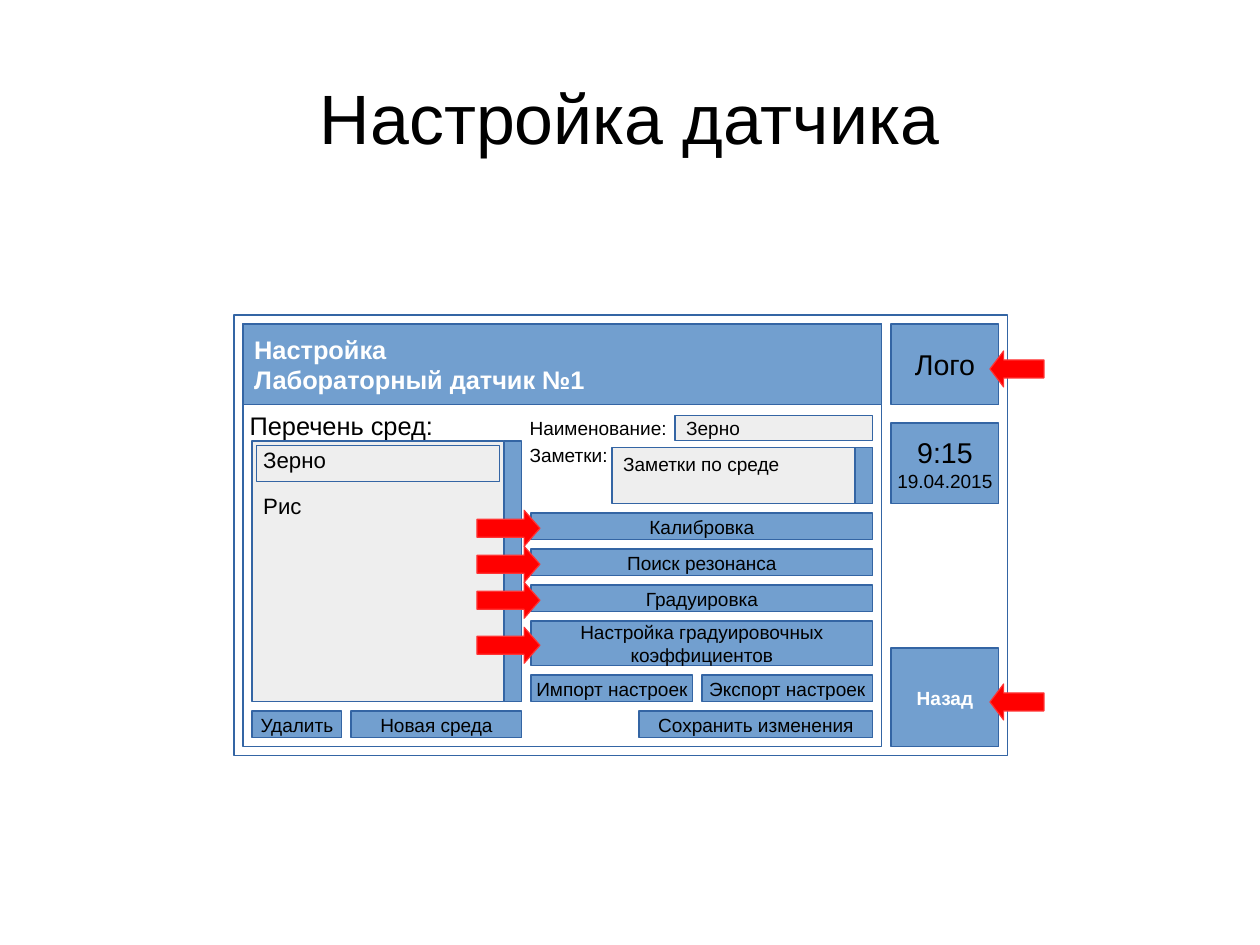
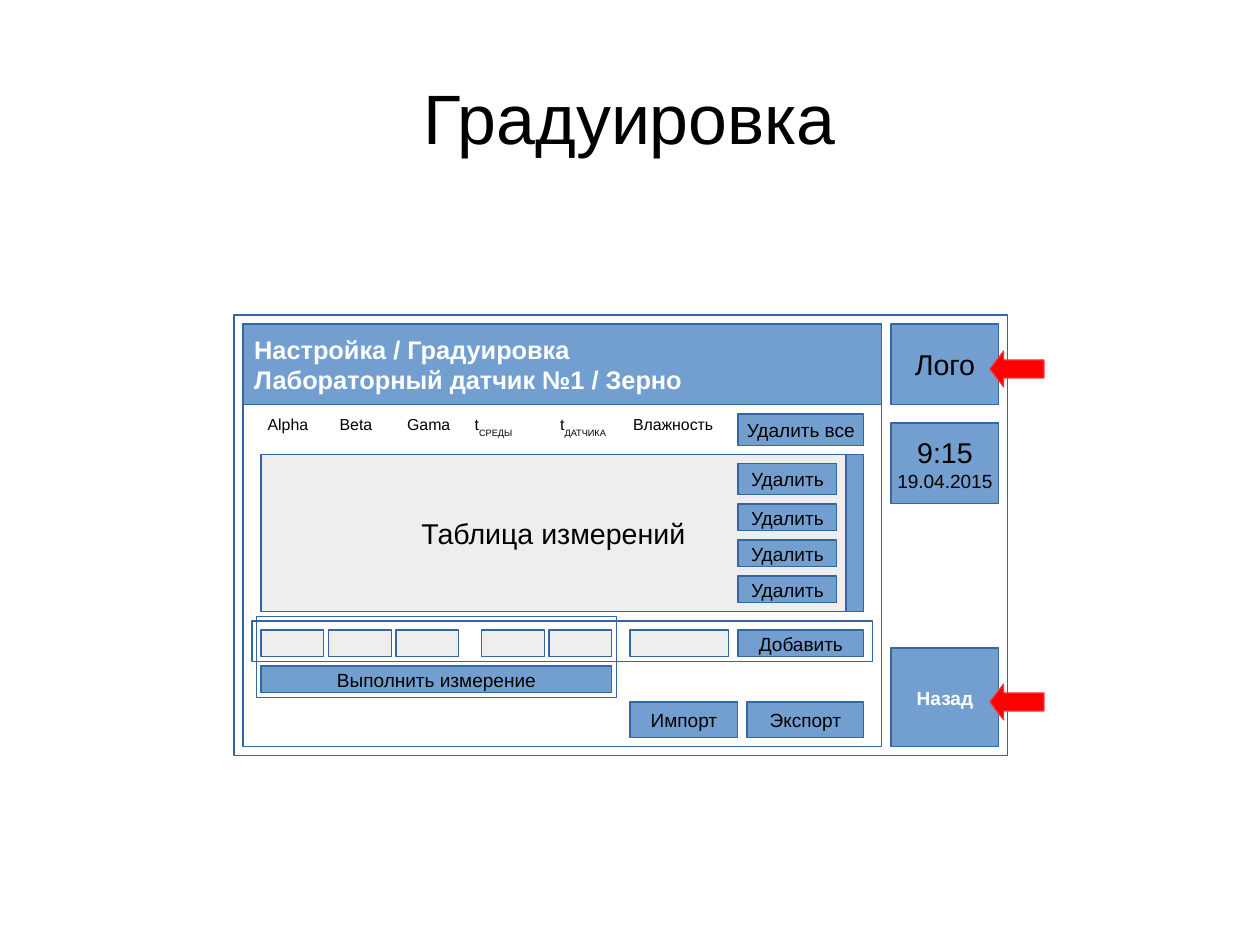
"""Builds two slides with the screens of a moisture sensor's setup panel."""
from pptx import Presentation
from pptx.dml.color import RGBColor
from pptx.enum.shapes import MSO_SHAPE
from pptx.enum.text import MSO_ANCHOR, MSO_AUTO_SIZE, PP_ALIGN
from pptx.util import Inches, Mm, Pt

RECTANGLE = MSO_SHAPE.RECTANGLE
LEFT_ARROW, RIGHT_ARROW = MSO_SHAPE.LEFT_ARROW, MSO_SHAPE.RIGHT_ARROW
TOP, MIDDLE = MSO_ANCHOR.TOP, MSO_ANCHOR.MIDDLE
LEFT, CENTER = PP_ALIGN.LEFT, PP_ALIGN.CENTER
NO_AUTOFIT = MSO_AUTO_SIZE.NONE

BLACK = RGBColor(0x00, 0x00, 0x00)
WHITE = RGBColor(0xFF, 0xFF, 0xFF)
BLUE = RGBColor(0x72, 0x9F, 0xCF)
BORDER = RGBColor(0x34, 0x65, 0xA4)
GRAY = RGBColor(0xEE, 0xEE, 0xEE)
RED = RGBColor(0xFF, 0x00, 0x00)
RED_EDGE = RGBColor(0xFF, 0x33, 0x33)

FONT = "Arial"
CELL_MM = 2
COLUMNS, ROWS = 140, 105
TITLE_ONLY = 5
INSETS = dict(margin_left=Inches(0.1), margin_right=Inches(0.1),
              margin_top=Inches(0.05), margin_bottom=Inches(0.05))
NO_INSETS = dict.fromkeys(INSETS, 0)


def cells(*counts):
    """Turn counts of grid cells into lengths."""
    return [Mm(count * CELL_MM) for count in counts]


def apply(target, values):
    """Set every attribute named in values on target."""
    for name, value in values.items():
        setattr(target, name, value)


def style_run(run, size, color=BLACK, bold=False):
    """Give a run its font, size, weight and colour."""
    apply(run.font, dict(name=FONT, size=Pt(size), bold=bold))
    run.font.color.rgb = color


def write(frame, text, size, color=BLACK, bold=False, align=CENTER,
          anchor=MIDDLE, wrap=False, insets=INSETS):
    """Fill a text frame with one paragraph per line of text."""
    apply(frame, dict(insets, auto_size=NO_AUTOFIT, word_wrap=wrap,
                      vertical_anchor=anchor))
    for number, line in enumerate(text.split("\n")):
        paragraph = frame.add_paragraph() if number else frame.paragraphs[0]
        paragraph.alignment = align
        run = paragraph.add_run()
        run.text = line
        style_run(run, size, color, bold)


def add_outline(slide, kind, box, fill, edge):
    """Add a flat preset shape with a hairline edge."""
    shape = slide.shapes.add_shape(kind, *cells(*box))
    shape.shadow.inherit = False
    if fill is None:
        shape.fill.background()
    else:
        shape.fill.solid()
        shape.fill.fore_color.rgb = fill
    shape.line.color.rgb = edge
    shape.line.width = Pt(0)
    return shape


def add_panel(slide, box, fill=None):
    """Add an empty rectangle of the screen."""
    return add_outline(slide, RECTANGLE, box, fill, BORDER)


def add_button(slide, box, text, size=12, **text_format):
    """Add a blue rectangle with a caption."""
    button = add_panel(slide, box, BLUE)
    write(button.text_frame, text, size, **text_format)
    return button


def add_field(slide, box, text, size=12, anchor=TOP):
    """Add a gray rectangle with left-aligned content."""
    field = add_panel(slide, box, GRAY)
    write(field.text_frame, text, size, align=LEFT, anchor=anchor, wrap=True)
    return field


def add_label(slide, box, text, size, subscript=""):
    """Add a caption without a frame, with an optional subscript."""
    frame = slide.shapes.add_textbox(*cells(*box)).text_frame
    write(frame, text, size, align=LEFT, anchor=TOP)
    if subscript:
        run = frame.paragraphs[0].add_run()
        run.text = subscript
        style_run(run, size)
        run._r.get_or_add_rPr().set("baseline", "-33000")


def add_arrow(slide, kind, box, head):
    """Add a red block arrow whose head is a share of its height."""
    arrow = add_outline(slide, kind, box, RED, RED_EDGE)
    arrow.adjustments[0] = 0.5
    arrow.adjustments[1] = head


def add_screen(deck, title, heading):
    """Add a slide with its title and the frame shared by all screens."""
    slide = deck.slides.add_slide(deck.slide_layouts[TITLE_ONLY])
    placement = zip(("left", "top", "width", "height"),
                    cells(7, 4.2, 126, 17.5))
    apply(slide.shapes.title, dict(placement))
    write(slide.shapes.title.text_frame, title, 44, wrap=True,
          insets=NO_INSETS)

    add_panel(slide, (26, 35, 86, 49), WHITE)
    add_panel(slide, (27, 36, 71, 47), WHITE)
    add_button(slide, (27, 36, 71, 9), heading, 16, color=WHITE, bold=True,
               align=LEFT, wrap=True)
    add_button(slide, (99, 36, 12, 9), "Лого", 18)
    clock = add_button(slide, (99, 47, 12, 9), "9:15\n19.04.2015", 18)
    clock.text_frame.paragraphs[1].runs[0].font.size = Pt(12)
    add_button(slide, (99, 72, 12, 11), "Назад", color=WHITE, bold=True)
    for row in (39, 76):
        add_arrow(slide, LEFT_ARROW, (110, row, 6, 4), 0.38)
    return slide


def add_sensor_setup(deck):
    """Build the screen with the media list and the sensor's actions."""
    slide = add_screen(deck, "Настройка датчика",
                       "Настройка\nЛабораторный датчик №1")
    add_label(slide, (26.5, 45, 22.9, 4.4), "Перечень сред:", 16)
    media = add_field(slide, (28, 49, 28, 29), "Зерно\nРис", 14)
    media.text_frame.paragraphs[1].space_before = Pt(12)
    add_panel(slide, (56, 49, 2, 29), BLUE)
    add_panel(slide, (28.5, 49.5, 27, 4))

    add_label(slide, (57.6, 45.7, 17.8, 3.7), "Наименование:", 12)
    add_field(slide, (75, 46.2, 22, 2.8), "Зерно", anchor=MIDDLE)
    add_label(slide, (57.6, 48.7, 11.2, 3.7), "Заметки:", 12)
    add_field(slide, (68, 49.7, 29, 6.3), "Заметки по среде")
    add_panel(slide, (95, 49.7, 2, 6.3), BLUE)

    actions = [("Калибровка", 3), ("Поиск резонанса", 3), ("Градуировка", 3),
               ("Настройка градуировочных\nкоэффициентов", 5)]
    row = 57
    for caption, height in actions:
        add_button(slide, (59, row, 38, height), caption)
        add_arrow(slide, RIGHT_ARROW,
                  (53, row + height / 2 - 1.8, 7, 4), 0.44)
        row += height + 1

    for column, row, width, caption in (
            (59, 75, 18, "Импорт настроек"), (78, 75, 19, "Экспорт настроек"),
            (28, 79, 10, "Удалить"), (39, 79, 19, "Новая среда"),
            (71, 79, 26, "Сохранить изменения")):
        add_button(slide, (column, row, width, 3), caption)


def add_graduation(deck):
    """Build the screen with the table of measurements."""
    slide = add_screen(deck, "Градуировка",
                       "Настройка / Градуировка\n"
                       "Лабораторный датчик №1 / Зерно")
    for column, width, caption, subscript in (
            (28.5, 7, "Alpha", ""), (36.5, 6.1, "Beta", ""),
            (44, 7.4, "Gama", ""), (51.5, 6.7, "t", "СРЕДЫ"),
            (61, 7.6, "t", "ДАТЧИКА"), (69.1, 11.5, "Влажность", "")):
        add_label(slide, (column, 45.5, width, 3.2), caption, 10, subscript)
    add_button(slide, (82, 46, 14, 3.5), "Удалить все")

    measurements = add_panel(slide, (29, 50.5, 65, 17.5), GRAY)
    write(measurements.text_frame, "Таблица измерений", 18)
    add_panel(slide, (94, 50.5, 2, 17.5), BLUE)
    for row, height in ((51.5, 3.5), (56, 3), (60, 3), (64, 3)):
        add_button(slide, (82, row, 11, height), "Удалить")

    for column, width in ((29, 7), (36.5, 7), (44, 7), (53.5, 7), (61, 7),
                          (70, 11)):
        add_panel(slide, (column, 70, width, 3), GRAY)
    add_button(slide, (82, 70, 14, 3), "Добавить")
    add_button(slide, (29, 74, 39, 3), "Выполнить измерение")
    add_panel(slide, (28.5, 68.5, 40, 9))
    add_panel(slide, (28, 69, 69, 4.5))
    add_button(slide, (70, 78, 12, 4), "Импорт")
    add_button(slide, (83, 78, 13, 4), "Экспорт")


def main():
    """Build both screens and save the deck."""
    deck = Presentation()
    deck.slide_width, deck.slide_height = cells(COLUMNS, ROWS)
    add_sensor_setup(deck)
    add_graduation(deck)
    deck.save("out.pptx")


main()
